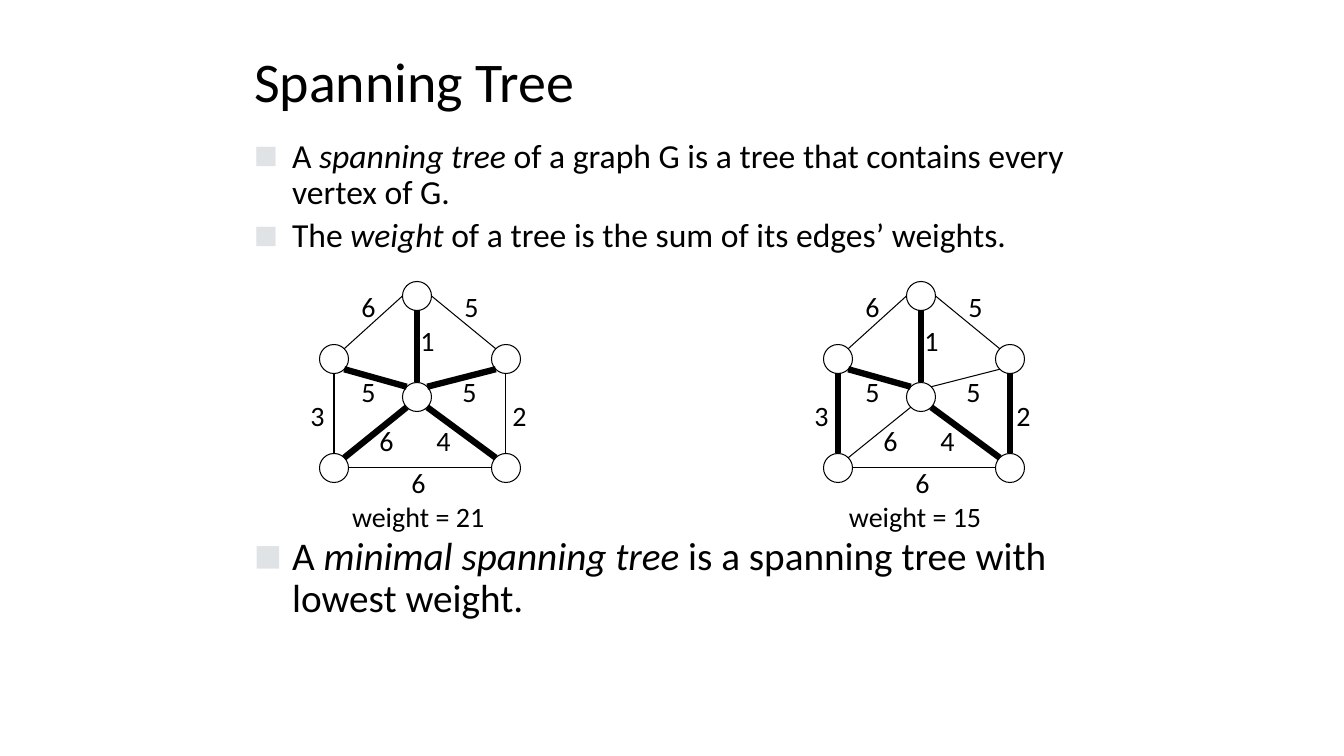
import math

import lxml.etree
import pptx
import pptx.dml.color
import pptx.enum.shapes
import pptx.enum.text
import pptx.oxml.ns
import pptx.util

COLORS = {"ink": "000000", "bullet": "DFE3E5"}
FONT = "Calibri"
SCALE = 914400 / 100.8

TITLE = "Spanning Tree"
BULLETS = [
    (24, 0, [("A ", False), ("spanning tree", True),
             (" of a graph G is a tree that contains every vertex of G.", False)]),
    (24, 5, [("The ", False), ("weight", True),
             (" of a tree is the sum of its edges’ weights.", False)]),
    (28, 201, [("A ", False), ("minimal spanning tree", True),
               (" is a spanning tree with lowest weight.", False)]),
]

NODE_SIZE = 29
NODES = {
    "top": (417, 296), "left": (334, 359), "hub": (417, 397),
    "right": (506, 359), "low left": (334, 468), "low right": (506, 468),
}
EDGES = [
    ("top", "S", "hub", "N", 1, (420, 324)),
    ("left", "SE", "hub", "NW", 5, (361, 375)),
    ("hub", "NE", "right", "SW", 5, (462, 375)),
    ("hub", "SW", "low left", "NE", 6, (379, 424)),
    ("hub", "SE", "low right", "NW", 4, (436, 424)),
    ("low left", "E", "low right", "W", 6, (411, 466)),
    ("right", "S", "low right", "N", 2, (512, 399)),
    ("right", "NW", "top", "E", 5, (464, 290)),
    ("top", "W", "left", "NE", 6, (361, 290)),
    ("left", "S", "low left", "N", 3, (310, 399)),
]
COMPASS = ["E", "SE", "S", "SW", "W", "NW", "N", "NE"]
GRAPHS = [
    (0, 352, {("top", "hub"), ("left", "hub"), ("hub", "right"),
              ("hub", "low left"), ("hub", "low right")}),
    (504, 849, {("top", "hub"), ("left", "hub"), ("hub", "low right"),
                ("right", "low right"), ("left", "low left")}),
]
CAPTION_TOP = 500
THIN, THICK = 0.75, 4.5


def px(value):
    return round(value * SCALE)


def color(name):
    return pptx.dml.color.RGBColor.from_string(COLORS[name])


def apply(target, **values):
    for name, value in values.items():
        setattr(target, name, value)


def place(shape, left, top, width, height):
    apply(shape, left=px(left), top=px(top), width=px(width), height=px(height))


def write(paragraph, text, size, italic=False):
    run = paragraph.add_run()
    run.text = text
    apply(run.font, name=FONT, size=pptx.util.Pt(size), italic=italic)
    run.font.color.rgb = color("ink")


def add_bullet(paragraph):
    properties = paragraph._p.get_or_add_pPr()
    properties.set("marL", str(px(38)))
    properties.set("indent", str(px(-38)))
    tag = pptx.oxml.ns.qn
    bullet_color = lxml.etree.SubElement(properties, tag("a:buClr"))
    lxml.etree.SubElement(bullet_color, tag("a:srgbClr"), val=COLORS["bullet"])
    lxml.etree.SubElement(properties, tag("a:buSzPct"), val="75000")
    lxml.etree.SubElement(properties, tag("a:buFont"), typeface=FONT)
    lxml.etree.SubElement(properties, tag("a:buChar"), char="■")


def add_label(slide, text, left, top, width, alignment, wrap):
    box = slide.shapes.add_textbox(px(left), px(top), px(width), px(33))
    apply(box.text_frame, margin_left=0, margin_top=0, margin_right=0,
          margin_bottom=0, word_wrap=wrap)
    paragraph = box.text_frame.paragraphs[0]
    paragraph.alignment = alignment
    write(paragraph, text, 20)


def node_edge(node, direction, shift):
    angle = COMPASS.index(direction) * math.pi / 4
    x, y = NODES[node]
    radius = NODE_SIZE / 2
    return px(x + shift + radius * math.cos(angle)), px(y + radius * math.sin(angle))


def add_graph(slide, shift, caption_left, tree):
    align = pptx.enum.text.PP_ALIGN
    weight_sum = sum(edge[4] for edge in EDGES if (edge[0], edge[2]) in tree)
    add_label(slide, f"weight = {weight_sum}", caption_left, CAPTION_TOP, 144, align.LEFT, True)
    for x, y in NODES.values():
        node = slide.shapes.add_shape(pptx.enum.shapes.MSO_SHAPE.OVAL, 0, 0, 0, 0)
        place(node, x + shift - NODE_SIZE / 2, y - NODE_SIZE / 2, NODE_SIZE, NODE_SIZE)
        node.shadow.inherit = False
        node.fill.background()
        node.line.color.rgb = color("ink")
        node.line.width = pptx.util.Pt(THIN)
    for start, start_side, end, end_side, weight, (left, top) in EDGES:
        line = slide.shapes.add_connector(
            pptx.enum.shapes.MSO_CONNECTOR.STRAIGHT,
            *node_edge(start, start_side, shift), *node_edge(end, end_side, shift))
        line.line.color.rgb = color("ink")
        line.line.width = pptx.util.Pt(THICK if (start, end) in tree else THIN)
        lxml.etree.SubElement(line._element.spPr, pptx.oxml.ns.qn("a:effectLst"))
        add_label(slide, str(weight), left + shift, top, 15, align.CENTER, False)


def main():
    presentation = pptx.Presentation()
    apply(presentation, slide_width=px(1344), slide_height=px(756))
    slide = presentation.slides.add_slide(presentation.slide_layouts[1])
    title, body = slide.placeholders
    place(title, 244, 42, 857, 76)
    place(body, 244, 134, 857, 580)
    for shape in (title, body):
        apply(shape.text_frame, auto_size=pptx.enum.text.MSO_AUTO_SIZE.NONE, word_wrap=True)
    title.text_frame.vertical_anchor = pptx.enum.text.MSO_ANCHOR.MIDDLE
    heading = title.text_frame.paragraphs[0]
    heading.alignment = pptx.enum.text.PP_ALIGN.LEFT
    write(heading, TITLE, 40)
    for index, (size, space, parts) in enumerate(BULLETS):
        frame = body.text_frame
        paragraph = frame.add_paragraph() if index else frame.paragraphs[0]
        add_bullet(paragraph)
        apply(paragraph, line_spacing=0.9, space_before=pptx.util.Pt(space))
        for text, italic in parts:
            write(paragraph, text, size, italic)
    for shift, caption_left, tree in GRAPHS:
        add_graph(slide, shift, caption_left, tree)
    presentation.save("out.pptx")


if __name__ == "__main__":
    main()
